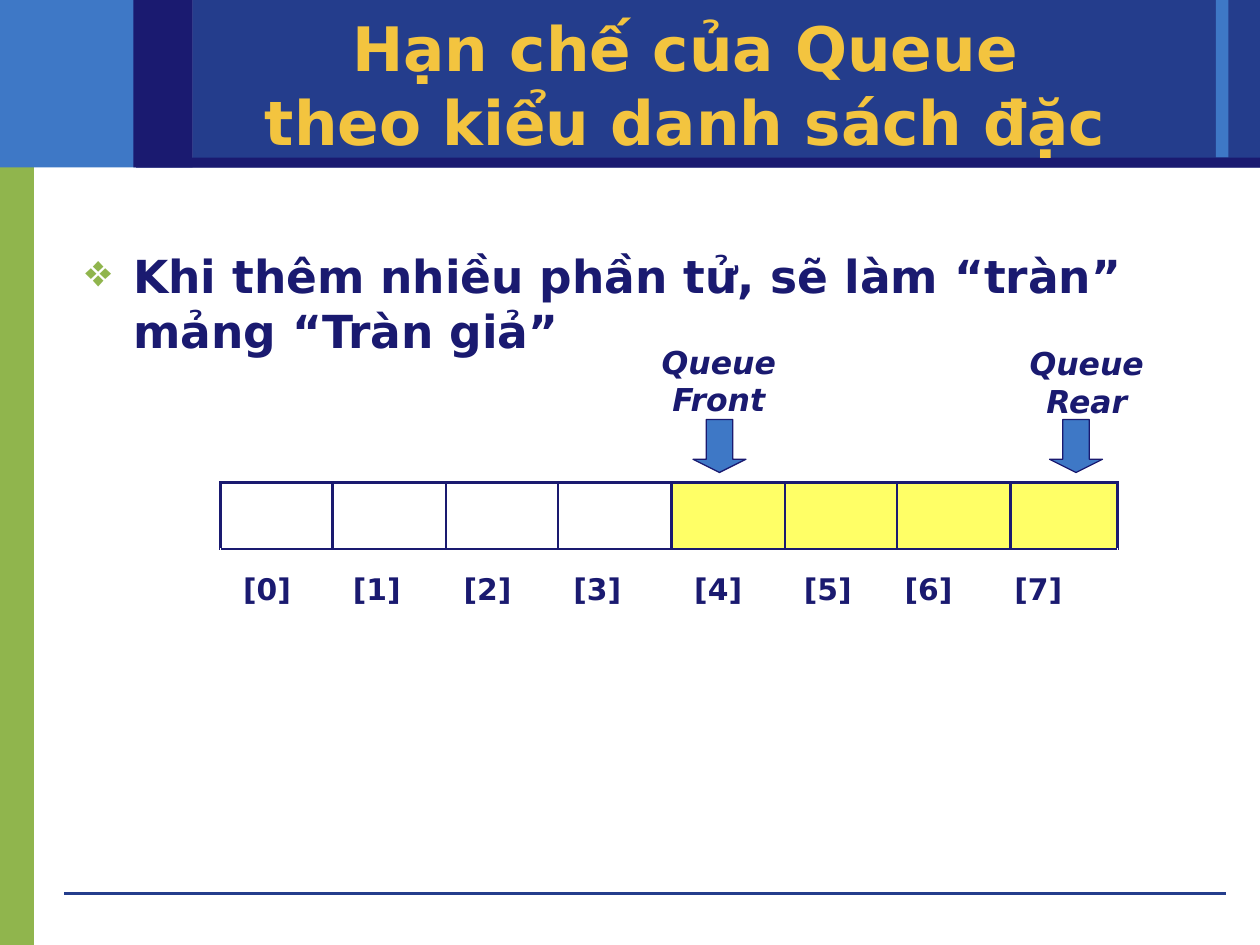
from collections import namedtuple
from lxml import etree
from pptx import Presentation
from pptx import util as u
from pptx.dml.color import RGBColor
from pptx.enum import shapes, text
from pptx.oxml import ns

Theme = namedtuple("Theme", "font navy blue royal green gold yellow head body note index")
theme = Theme("DejaVu Sans", "1A1A70", "3E78C6", "243D8C", "90B54D", "F3C43F", "FFFF66",
              u.Pt(35), u.Pt(26), u.Pt(18), u.Pt(17))


def add(kind, box, fill, line=None):
    """Add a flat preset shape, outlined only when a line colour is given."""
    shape = slide.shapes.add_shape(kind, *map(u.Inches, box))
    shape.shadow.inherit = False
    shape.fill.solid()
    shape.fill.fore_color.rgb = RGBColor.from_string(fill)
    if line:
        shape.line.color.rgb = RGBColor.from_string(line)
        shape.line.width = u.Pt(0.75)
    else:
        shape.line.fill.background()


def style(par, size, color, align=text.PP_ALIGN.CENTER, italic=False):
    par.alignment = align
    for run in par.runs:
        font = run.font
        font.name, font.size, font.bold, font.italic = theme.font, size, True, italic
        font.color.rgb = RGBColor.from_string(color)


prs = Presentation()
prs.slide_width, prs.slide_height = u.Inches(10), u.Inches(7.5)
slide = prs.slides.add_slide(prs.slide_layouts[5])

# Frame of the page
rect = shapes.MSO_SHAPE.RECTANGLE
add(rect, (0, 1.07, 0.27, 6.43), theme.green)
add(rect, (0, 0, 1.53, 1.33), theme.blue)
add(rect, (1.53, 0, 8.47, 1.33), theme.royal)
add(rect, (9.65, 0, 0.1, 1.25), theme.blue)
rule = slide.shapes.add_connector(shapes.MSO_CONNECTOR.STRAIGHT, u.Inches(0.51),
                                  u.Inches(7.09), u.Inches(9.73), u.Inches(7.09))
rule.line.color.rgb = RGBColor.from_string(theme.royal)
rule.line.width = u.Pt(0)
etree.SubElement(rule._element.spPr, ns.qn("a:effectLst"))
add(rect, (1.08, 1.25, 8.92, 0.08), theme.navy)
add(rect, (1.06, 0, 0.47, 1.33), theme.navy)

# Title, brought in front of the frame
title = slide.shapes.title
title.left, title.top, title.width, title.height = map(u.Inches, (1.5, 0.08, 7.88, 1.17))
frame = title.text_frame
frame.text = "Hạn chế của Queue\vtheo kiểu danh sách đặc"
frame.vertical_anchor = text.MSO_ANCHOR.MIDDLE
frame.auto_size = text.MSO_AUTO_SIZE.NONE
style(frame.paragraphs[0], theme.head, theme.gold)
slide.shapes._spTree.append(title._element)

# Bullet
body = slide.shapes.add_textbox(*map(u.Inches, (0.58, 1.92, 8.8, 4.67)))
frame = body.text_frame
frame.word_wrap = True
par = frame.paragraphs[0]
par.text = "Khi thêm nhiều phần tử, sẽ làm “tràn” mảng “Tràn giả”"
props = par._p.get_or_add_pPr()
props.set("marL", str(u.Inches(0.38)))
props.set("indent", str(-u.Inches(0.38)))
tint = etree.SubElement(props, ns.qn("a:buClr"))
etree.SubElement(tint, ns.qn("a:srgbClr"), val=theme.green)
etree.SubElement(props, ns.qn("a:buChar"), char="❖")
style(par, theme.body, theme.navy, text.PP_ALIGN.LEFT)

# Array cells, with the used ones in yellow
count, first = 8, 4
grid = slide.shapes.add_table(2, count, *map(u.Inches, (1.75, 3.83, 7.12, 1.08))).table
grid.first_row = grid.horz_banding = False
for row, high in zip(grid.rows, (0.53, 0.55)):
    row.height = u.Inches(high)
for col, wide in zip(grid.columns, (0.89, 0.9, 0.89, 0.9, 0.9, 0.89, 0.9, 0.85)):
    col.width = u.Inches(wide)
for i in range(count):
    cell = grid.cell(0, i)
    if i < first:
        cell.fill.background()
    else:
        cell.fill.solid()
        cell.fill.fore_color.rgb = RGBColor.from_string(theme.yellow)
    for place, side in enumerate(("lnL", "lnR", "lnT", "lnB")):
        edge = etree.Element(ns.qn("a:" + side), w=str(u.Pt(1.47)))
        paint = etree.SubElement(edge, ns.qn("a:solidFill"))
        etree.SubElement(paint, ns.qn("a:srgbClr"), val=theme.navy)
        cell._tc.get_or_add_tcPr().insert(place, edge)
    grid.cell(1, i).fill.background()

# Indices share one merged cell, each centred on a tab stop
index = grid.cell(1, 0)
index.merge(grid.cell(1, count - 1))
index.margin_top = u.Inches(0.19)
par = index.text_frame.paragraphs[0]
par.text = "".join(f"\t[{i}]" for i in range(count))
stops = etree.SubElement(par._p.get_or_add_pPr(), ns.qn("a:tabLst"))
for stop in (0.27, 1.14, 2.02, 2.89, 3.85, 4.72, 5.52, 6.39):
    etree.SubElement(stops, ns.qn("a:tab"), pos=str(u.Inches(stop)), algn="ctr")
style(par, theme.index, theme.navy, text.PP_ALIGN.LEFT)

# Pointers to both ends of the queue
for name, left, top, tip in (("Queue Rear", 8, 2.68, 8.33), ("Queue Front", 5.08, 2.67, 5.5)):
    label = slide.shapes.add_textbox(*map(u.Inches, (left, top, 1.25, 0.7)))
    frame = label.text_frame
    frame.word_wrap = True
    frame.text = name
    style(frame.paragraphs[0], theme.note, theme.navy, italic=True)
    add(shapes.MSO_SHAPE.DOWN_ARROW, (tip, 3.33, 0.42, 0.42), theme.blue, theme.navy)
    slide.shapes[-1].adjustments[1] = 0.25

prs.save("out.pptx")
